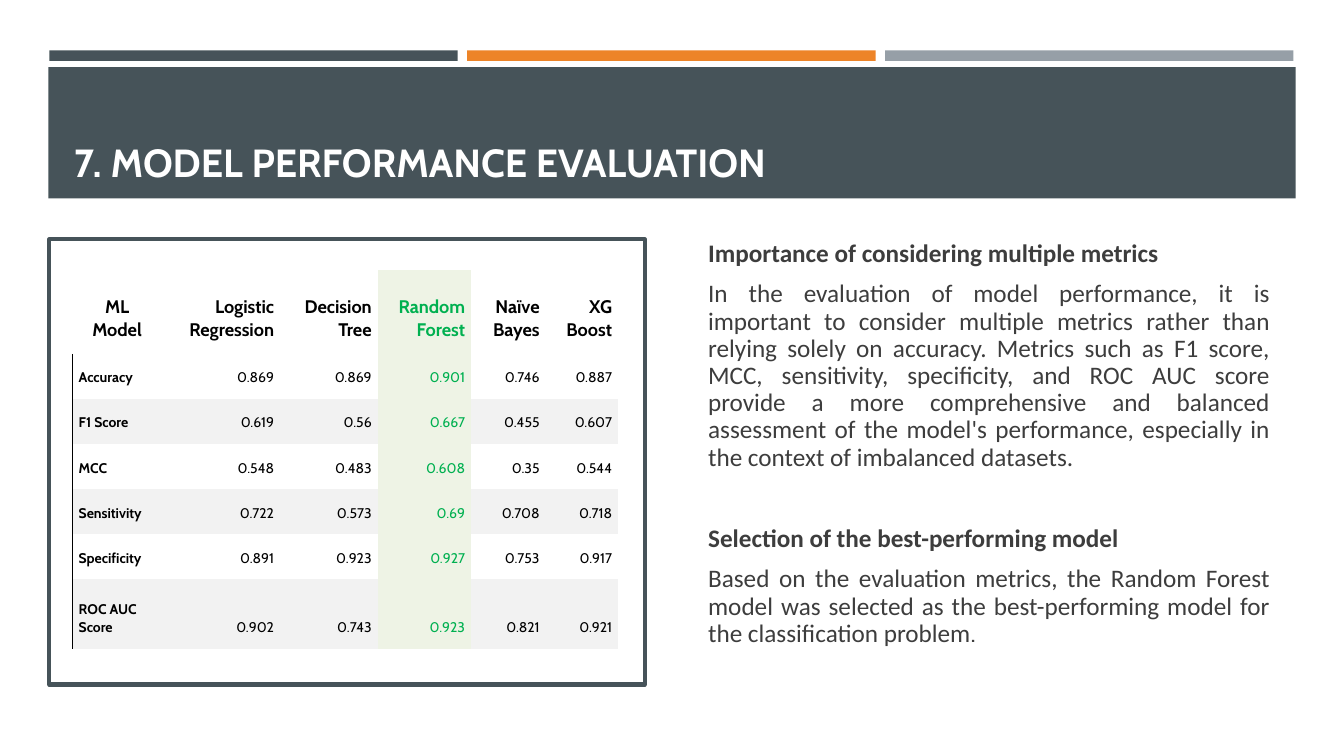
from lxml import etree
from pptx import Presentation
from pptx.dml.color import RGBColor
from pptx.enum.shapes import MSO_SHAPE
from pptx.enum.text import MSO_ANCHOR as Anchor, MSO_AUTO_SIZE as AutoSize, PP_ALIGN as Align
from pptx.oxml import parse_xml
from pptx.oxml.ns import nsdecls, qn
from pptx.util import Pt

PX = 9525
SLATE, ORANGE, GREY = "465359", "ED8428", "969FA7"
WHITE, BLACK, BODY = "FFFFFF", "000000", "3D3D3D"
GREEN, PALE_GREEN, BAND = "00B050", "EEF3E5", "F2F2F2"
NO_STYLE = "{2D5ABB26-0587-4C30-8999-92F81FD0307C}"

BEST_COLUMN = 3
COLUMN_WIDTHS = [85, 113, 93, 89, 71, 69]
ROW_HEIGHTS = [80, 43, 43, 43, 43, 43, 66]
SCORES = [
    ["ML Model", "Logistic Regression", "Decision Tree", "Random Forest", "Naïve Bayes", "XG Boost"],
    ["Accuracy", "0.869", "0.869", "0.901", "0.746", "0.887"],
    ["F1 Score", "0.619", "0.56", "0.667", "0.455", "0.607"],
    ["MCC", "0.548", "0.483", "0.608", "0.35", "0.544"],
    ["Sensitivity", "0.722", "0.573", "0.69", "0.708", "0.718"],
    ["Specificity", "0.891", "0.923", "0.927", "0.753", "0.917"],
    ["ROC AUC Score", "0.902", "0.743", "0.923", "0.821", "0.921"],
]
COMMENTARY = [
    (0, True, [("Importance of considering multiple metrics", "Calibri")]),
    (3.6, False, [("In the evaluation of model performance, it is important to consider multiple "
                   "metrics rather than relying solely on accuracy. Metrics such as F1 score, MCC, "
                   "sensitivity, specificity, and ROC AUC score provide a more comprehensive and "
                   "balanced assessment of the model's performance, especially in the context of "
                   "imbalanced datasets.", "Calibri")]),
    (32.4, True, [("Selection of the best-performing model", "Calibri")]),
    (3.6, False, [("Based on the evaluation metrics, the Random Forest model was selected as the "
                   "best-performing model for the classification problem", "Calibri"),
                  (".", "Cabin")]),
]


def color(value):
    return RGBColor.from_string(value)


def scaled(*lengths):
    return [length * PX for length in lengths]


def add_run(paragraph, text, font, size, fill, bold):
    run = paragraph.add_run()
    run.text = text
    run.font.name = font
    run.font.size = Pt(size)
    run.font.color.rgb = color(fill)
    run.font.bold = bold


def add_box(slide, left, top, width, height, fill, line=None):
    shape = slide.shapes.add_shape(MSO_SHAPE.RECTANGLE, *scaled(left, top, width, height))
    shape.shadow.inherit = False
    shape.fill.solid()
    shape.fill.fore_color.rgb = color(fill)
    if line:
        shape.line.color.rgb = color(line)
        shape.line.width = Pt(3)
    else:
        shape.line.fill.background()
    return shape


def add_header(slide, left, top, width, height):
    bar_width, gap = 389, 9
    for index, fill in enumerate([SLATE, ORANGE, GREY]):
        add_box(slide, left + 1 + index * (bar_width + gap), top, bar_width, 10, fill)
    banner = add_box(slide, left, top + 16, width, height - 16, SLATE)

    title = slide.shapes.title
    banner.element.addnext(title.element)
    title.left, title.top, title.width, title.height = scaled(left + 15, top + 26, width - 30, 107)
    frame = title.text_frame
    frame.auto_size = AutoSize.NONE
    frame.vertical_anchor = Anchor.BOTTOM
    paragraph = frame.paragraphs[0]
    paragraph.alignment = Align.LEFT
    add_run(paragraph, "7. MODEL PERFORMANCE EVALUATION", "Cabin", 28, WHITE, True)


def add_left_border(cell):
    border = parse_xml(f'<a:lnL {nsdecls("a")} w="9525"/>')
    fill = etree.SubElement(border, qn("a:solidFill"))
    etree.SubElement(fill, qn("a:srgbClr"), val=BLACK)
    cell._tc.get_or_add_tcPr().insert(0, border)


def fill_cell(cell, text, row, column):
    is_best = column == BEST_COLUMN
    is_header, is_label = row == 0, column == 0
    cell.vertical_anchor = Anchor.BOTTOM
    cell.margin_left, cell.margin_top, cell.margin_right, cell.margin_bottom = scaled(6, 2, 6, 12)
    if is_best or (row and row % 2 == 0):
        cell.fill.solid()
        cell.fill.fore_color.rgb = color(PALE_GREEN if is_best else BAND)
    else:
        cell.fill.background()
    if is_label and not is_header:
        add_left_border(cell)
    paragraph = cell.text_frame.paragraphs[0]
    paragraph.line_spacing = 1.07
    if is_label:
        paragraph.alignment = Align.CENTER if is_header else Align.LEFT
    else:
        paragraph.alignment = Align.RIGHT
    add_run(paragraph, text, "Cabin", 13 if is_header else 10,
            GREEN if is_best else BLACK, is_header or is_label)


def add_score_panel(slide, left, top, width, height):
    add_box(slide, left, top, width, height, WHITE, SLATE)
    frame = slide.shapes.add_table(
        len(SCORES), len(COLUMN_WIDTHS),
        *scaled(left + 22, top + 29, sum(COLUMN_WIDTHS), sum(ROW_HEIGHTS)))
    table = frame.table
    table.first_row = False
    table.horz_banding = False
    table._tbl.tblPr.find(qn("a:tableStyleId")).text = NO_STYLE
    for column, column_width in zip(table.columns, COLUMN_WIDTHS):
        column.width = column_width * PX
    for row, row_height in zip(table.rows, ROW_HEIGHTS):
        row.height = row_height * PX
    for row, values in enumerate(SCORES):
        for column, text in enumerate(values):
            fill_cell(table.cell(row, column), text, row, column)


def add_commentary(slide, left, top, width, height):
    frame = slide.shapes.add_textbox(*scaled(left, top, width, height)).text_frame
    frame.word_wrap = True
    frame.margin_top = frame.margin_bottom = 0
    for index, (space_before, bold, runs) in enumerate(COMMENTARY):
        paragraph = frame.add_paragraph() if index else frame.paragraphs[0]
        paragraph.alignment = Align.JUSTIFY
        paragraph.line_spacing = 0.9
        paragraph.space_before = Pt(space_before)
        paragraph.space_after = Pt(6)
        for text, font in runs:
            add_run(paragraph, text, font, 18, BODY, bold)


def main():
    presentation = Presentation()
    presentation.slide_width, presentation.slide_height = scaled(1280, 720)
    slide = presentation.slides.add_slide(presentation.slide_layouts[5])
    add_header(slide, 46, 48, 1188, 141)
    add_score_panel(slide, 47, 228, 567, 424)
    add_commentary(slide, 665, 229, 554, 424)
    presentation.save("out.pptx")


if __name__ == "__main__":
    main()
